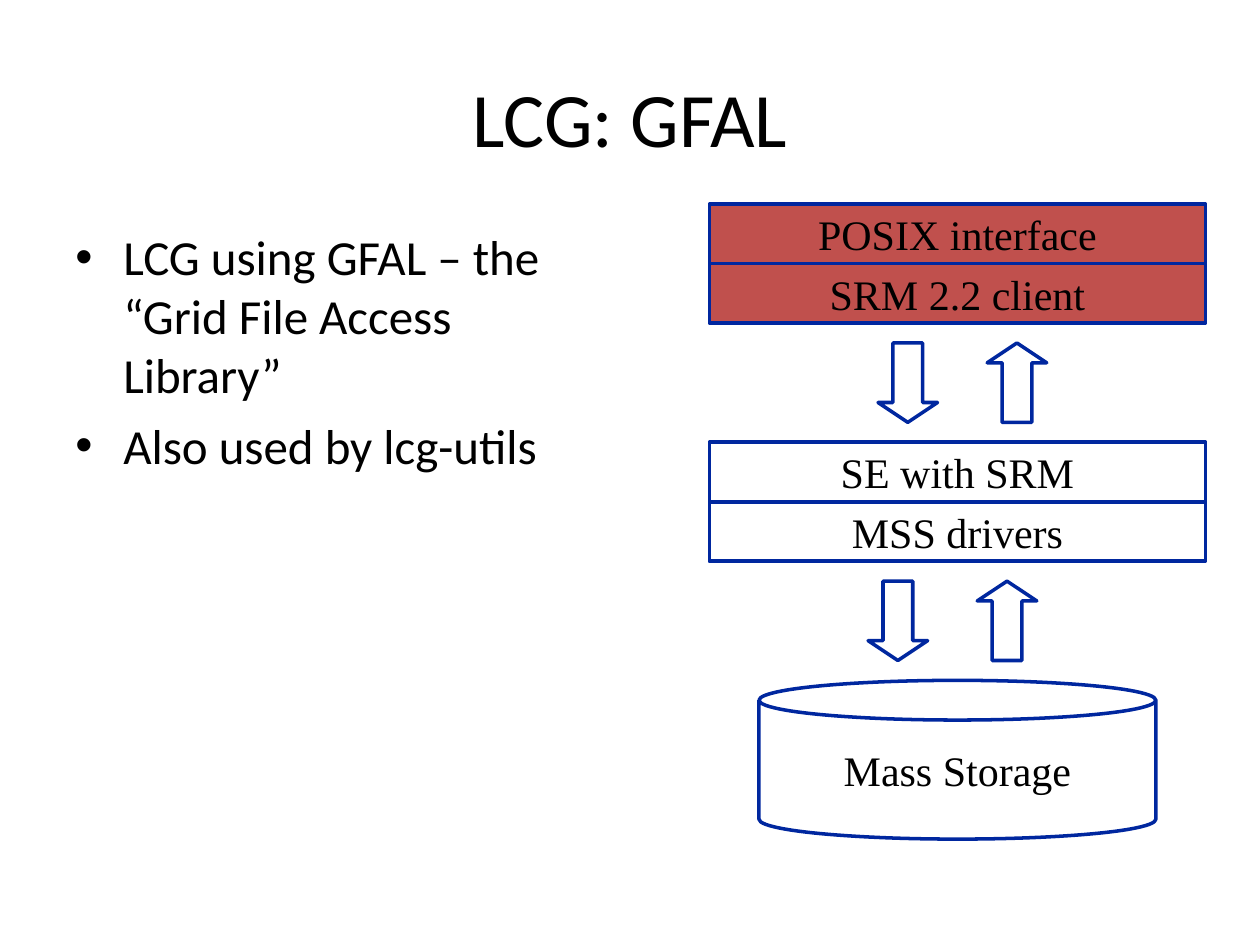
from dataclasses import dataclass

from lxml import etree
from pptx import Presentation
from pptx.dml.color import RGBColor
from pptx.enum.shapes import MSO_SHAPE
from pptx.enum.text import MSO_ANCHOR, PP_ALIGN
from pptx.oxml.ns import qn
from pptx.util import Inches, Pt

RECT, CAN = MSO_SHAPE.RECTANGLE, MSO_SHAPE.CAN
DOWN, UP = MSO_SHAPE.DOWN_ARROW, MSO_SHAPE.UP_ARROW
MIDDLE, CENTER = MSO_ANCHOR.MIDDLE, PP_ALIGN.CENTER

WIDE, HIGH = 10, 7.5
LEFT, TOP, CELL = 5.63, 1.62, 3.15 / 20
INDENT = 0.38


@dataclass(frozen=True)
class Theme:
    ink: RGBColor = RGBColor(0, 0, 0)
    edge: RGBColor = RGBColor(0x00, 0x27, 0x9F)
    client: RGBColor = RGBColor(0xC0, 0x50, 0x4D)
    sans: str = "Calibri"
    serif: str = "Times New Roman"
    title: int = 44
    body: int = 28
    label: int = 24
    line: int = 2
    gap: int = 7


THEME = Theme()


def style(para, face, size):
    para.font.name = face
    para.font.size = Pt(size)
    para.font.color.rgb = THEME.ink


def add_box(slide, left, top, width, height):
    area = Inches(left), Inches(top), Inches(width), Inches(height)
    frame = slide.shapes.add_textbox(*area).text_frame
    frame.word_wrap = True
    return frame


def add_title(slide, text):
    frame = add_box(slide, WIDE * 0.05, HIGH * 0.04, WIDE * 0.9, HIGH / 6)
    frame.vertical_anchor = MIDDLE
    frame.text = text
    para = frame.paragraphs[0]
    para.alignment = CENTER
    style(para, THEME.sans, THEME.title)


def add_list(slide, items):
    frame = add_box(slide, WIDE * 0.05, 1.75, 4.42, HIGH * 0.66)
    frame.text = "\n".join(items)
    for rank, para in enumerate(frame.paragraphs):
        props = para._p.get_or_add_pPr()
        props.set("marL", str(Inches(INDENT)))
        props.set("indent", str(-Inches(INDENT)))
        para.space_before = Pt(THEME.gap if rank else 0)
        etree.SubElement(props, qn("a:buFont"), typeface="Arial")
        etree.SubElement(props, qn("a:buChar"), char="•")
        style(para, THEME.sans, THEME.body)


def add_node(slide, kind, col, row, cols, rows, fill=None):
    shape = slide.shapes.add_shape(
        kind,
        Inches(LEFT + col * CELL), Inches(TOP + row * CELL),
        Inches(cols * CELL), Inches(rows * CELL),
    )
    shape.shadow.inherit = False
    if fill is None:
        shape.fill.background()
    else:
        shape.fill.solid()
        shape.fill.fore_color.rgb = fill
    shape.line.color.rgb = THEME.edge
    shape.line.width = Pt(THEME.line)
    return shape


def add_label(shape, text):
    frame = shape.text_frame
    frame.word_wrap = False
    frame.vertical_anchor = MIDDLE
    frame.text = text
    para = frame.paragraphs[0]
    para.alignment = CENTER
    style(para, THEME.serif, THEME.label)


def add_stack(slide, row, labels, fill=None):
    for rank, text in enumerate(labels):
        add_label(add_node(slide, RECT, 0, row + 3 * rank, 25, 3, fill), text)


def add_pair(slide, col, row):
    for kind, step in ((DOWN, 0), (UP, 5.5)):
        arrow = add_node(slide, kind, col + step, row, 3, 4)
        arrow.adjustments[0] = 0.5
        arrow.adjustments[1] = 1 / 3


def main():
    deck = Presentation()
    deck.slide_width, deck.slide_height = Inches(WIDE), Inches(HIGH)
    slide = deck.slides.add_slide(deck.slide_layouts[6])
    add_title(slide, "LCG: GFAL")
    add_list(slide, [
        "LCG using GFAL – the “Grid File Access Library”",
        "Also used by lcg-utils",
    ])
    add_stack(slide, 0, ["POSIX interface", "SRM 2.2 client"], THEME.client)
    add_pair(slide, 8.5, 7)
    add_stack(slide, 12, ["SE with SRM", "MSS drivers"])
    add_pair(slide, 8, 19)
    add_label(add_node(slide, CAN, 2.5, 24, 20, 8), "Mass Storage")
    deck.save("out.pptx")


if __name__ == "__main__":
    main()
